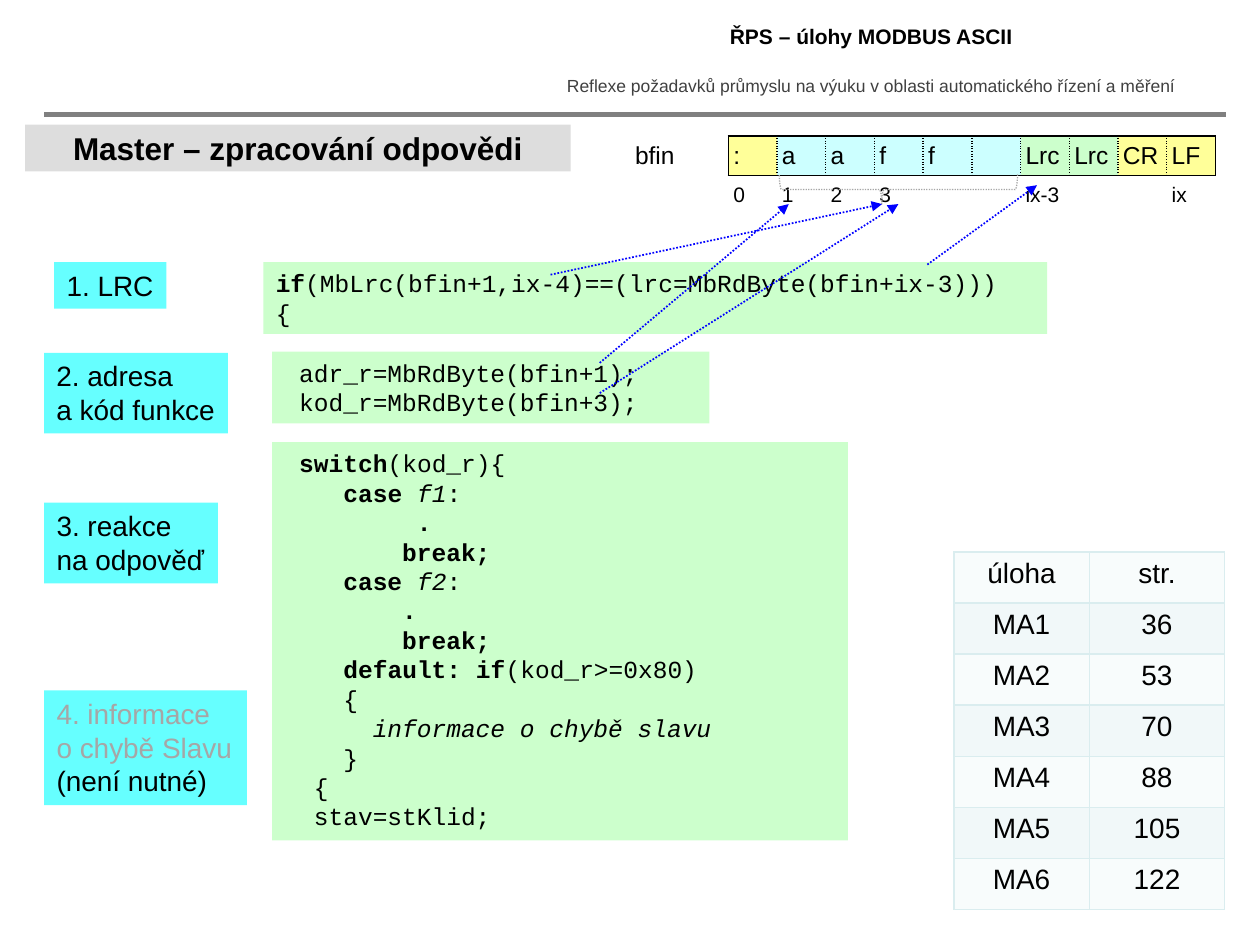
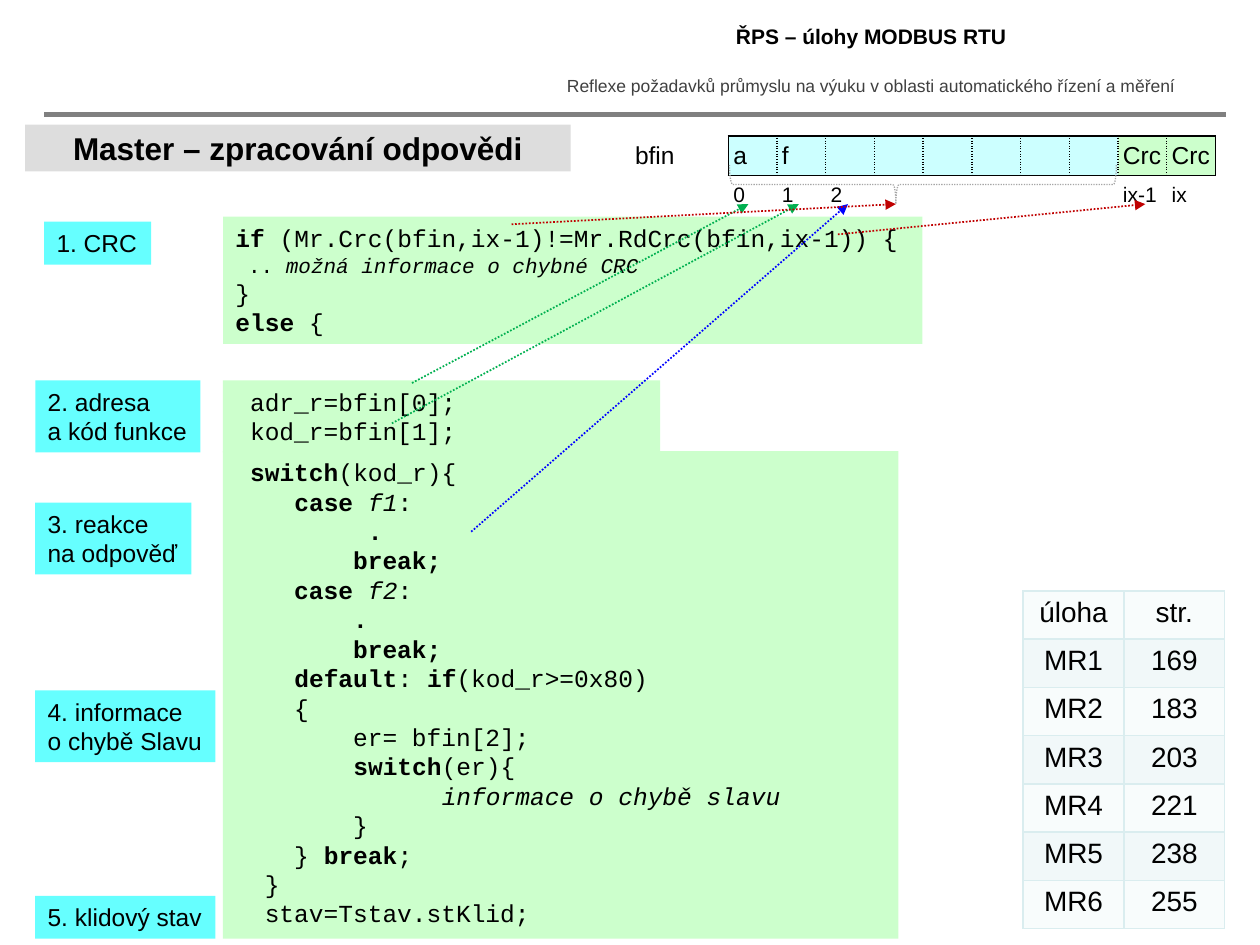
from lxml import etree
from pptx import Presentation
from pptx import util as u
from pptx.dml.color import RGBColor
from pptx.enum import dml, shapes, text
from pptx.oxml import ns

Inches, Pt = u.Inches, u.Pt

BLACK = RGBColor(0x00, 0x00, 0x00)
DARK_GREY = RGBColor(0x40, 0x40, 0x40)
RULE_GREY = RGBColor(0x80, 0x80, 0x80)
FADED = RGBColor(0xA6, 0xA6, 0xA6)
TITLE_GREY = RGBColor(0xDD, 0xDD, 0xDD)
LABEL_CYAN = RGBColor(0x66, 0xFF, 0xFF)
PALE_GREEN = RGBColor(0xCC, 0xFF, 0xCC)
PALE_CYAN = RGBColor(0xCC, 0xFF, 0xFF)
PALE_YELLOW = RGBColor(0xFF, 0xFF, 0x99)
GRID = RGBColor(0xDA, 0xED, 0xEF)
BANDS = [RGBColor(0xF8, 0xFC, 0xFC), RGBColor(0xF1, 0xF8, 0xF9)]
BLUE = RGBColor(0x00, 0x00, 0xFF)
GREEN = RGBColor(0x00, 0xB0, 0x50)
RED = RGBColor(0xC0, 0x00, 0x00)

SANS, MONO = "Arial", "Courier New"
LEFT, CENTER = text.PP_ALIGN.LEFT, text.PP_ALIGN.CENTER
TOP, MIDDLE = text.MSO_ANCHOR.TOP, text.MSO_ANCHOR.MIDDLE
NO_STYLE = "{2D5ABB26-0587-4C30-8999-92F81FD0307C}"

TITLE = (TITLE_GREY, SANS, False, CENTER, MIDDLE)
LABEL = (LABEL_CYAN, SANS, False, LEFT, TOP)
CODE = (PALE_GREEN, MONO, True, LEFT, TOP)

SWITCH_START = [
    " *switch*(kod_r){",
    "    *case *~f1~:",
    "*         .*",
    "*        break;*",
    "*    case *~f2~:",
    "*        .*",
    "*        break;*",
]

LESSONS = [
    {
        "heading": "ŘPS – úlohy MODBUS ASCII",
        "panels": [
            (LABEL, (0.43, 2.08, 0.89, 0.37), 16, ["1. LRC"]),
            (LABEL, (0.35, 2.8, 1.46, 0.64), 16, ["2. adresa", "a kód funkce"]),
            (LABEL, (0.35, 3.99, 1.38, 0.64), 16, ["3. reakce", "na odpověď"]),
            (LABEL, (0.35, 5.48, 1.61, 0.91), 16,
             [("4. informace", 16, FADED), ("o chybě Slavu", 16, FADED), "(není nutné)"]),
            (CODE, (2.16, 2.79, 3.47, 0.57), 14,
             [" adr_r=MbRdByte(bfin+1);", " kod_r=MbRdByte(bfin+3);"]),
            (CODE, (2.16, 3.51, 4.57, 3.16), 14, SWITCH_START + [
                "    *default: if*(kod_r>=0x80)",
                "    {",
                "~      informace o chybě slavu~",
                "    }",
                "  {",
                "  stav=stKlid;",
            ]),
            (CODE, (2.09, 2.08, 6.22, 0.57), 14,
             ["*if*(MbLrc(bfin+1,ix-4)==(lrc=MbRdByte(bfin+ix-3)))", "{"]),
        ],
        "bytes": [":", "a", "a", "f", "f", "", "Lrc", "Lrc", "CR", "LF"],
        "byte_fills": [PALE_YELLOW] + [PALE_CYAN] * 5 + [PALE_GREEN] * 2 + [PALE_YELLOW] * 2,
        "indexes": ["0", "1", "2", "3", "", "", "ix-3", "", "", "ix"],
        "brace": (7.01, 0.56, 0.24, 1.89),
        "arrows": [
            (7.36, 2.1, 8.23, 1.47, BLUE),
            (4.37, 2.18, 7, 1.62, BLUE),
            (4.76, 2.88, 6.26, 1.62, BLUE),
            (4.76, 3.12, 7.13, 1.62, BLUE),
        ],
        "tasks_at": (7.57, 4.38, 2.15, 2.84),
        "task_prefix": "MA",
        "pages": [36, 53, 70, 88, 105, 122],
    },
    {
        "heading": "ŘPS – úlohy MODBUS RTU",
        "panels": [
            (LABEL, (0.35, 1.76, 0.85, 0.34), 14, ["1. CRC"]),
            (CODE, (1.77, 1.72, 5.55, 1.01), 14, [
                "*if *(Mr.Crc(bfin,ix-1)!=Mr.RdCrc(bfin,ix-1)) {",
                (" .. ~možná informace o chybné CRC~", 12, BLACK),
                "}",
                "*else* {",
            ]),
            (LABEL, (0.28, 3.02, 1.31, 0.57), 14, ["2. adresa", "a kód funkce"]),
            (CODE, (1.77, 3.02, 3.47, 0.57), 14, [" adr_r=bfin[0];", " kod_r=bfin[1];"]),
            (LABEL, (0.28, 3.99, 1.24, 0.57), 14, ["3. reakce", "na odpověď"]),
            (LABEL, (0.28, 5.48, 1.43, 0.57), 14, ["4. informace", "o chybě Slavu"]),
            (CODE, (1.77, 3.58, 5.36, 3.87), 14, SWITCH_START + [
                "    *default*: *if*(kod_r>=0x80)",
                "    {",
                "        er= bfin[2];",
                "        *switch*(er){",
                "              ~informace o chybě slavu~",
                "        }",
                "    } *break*;",
                "  }",
                "  stav=Tstav.stKlid;",
            ]),
            (LABEL, (0.28, 7.11, 1.43, 0.34), 14, ["5. klidový stav"]),
        ],
        "bytes": ["a", "f"] + [""] * 6 + ["Crc", "Crc"],
        "byte_fills": [PALE_CYAN] * 8 + [PALE_GREEN] * 2,
        "indexes": ["0", "1", "2"] + [""] * 5 + ["ix-1", "ix"],
        "brace": (7.17, -0.07, 0.31, 3.07),
        "arrows": [
            (3.74, 4.22, 6.73, 1.62, BLUE),
            (3.11, 3.36, 6.34, 1.62, GREEN),
            (3.27, 3.04, 5.94, 1.62, GREEN),
            (6.65, 1.86, 9.09, 1.62, RED),
            (4.06, 1.78, 7.11, 1.62, RED),
        ],
        "tasks_at": (8.12, 4.69, 1.6, 2.68),
        "task_prefix": "MR",
        "pages": [169, 183, 203, 221, 238, 255],
    },
]


def write(frame, lines, size, font=SANS, color=BLACK, align=LEFT):
    for number, line in enumerate(lines):
        paragraph = frame.paragraphs[0] if number == 0 else frame.add_paragraph()
        paragraph.alignment = align
        words, points, ink = line if isinstance(line, tuple) else (line, size, color)
        for b, piece in enumerate(words.split("*")):
            for i, part in enumerate(piece.split("~")):
                if part:
                    run = paragraph.add_run()
                    run.text = part
                    run.font.name = font
                    run.font.size = Pt(points)
                    run.font.color.rgb = ink
                    run.font.bold = b % 2 == 1
                    run.font.italic = i % 2 == 1
        if not words:
            paragraph._p.get_or_add_endParaRPr().set("sz", str(points * 100))


def add_border(cell, side, color, dash="solid"):
    edge = etree.SubElement(cell._tc.get_or_add_tcPr(), ns.qn("a:ln" + side), w=str(Pt(1)))
    fill = etree.SubElement(edge, ns.qn("a:solidFill"))
    etree.SubElement(fill, ns.qn("a:srgbClr"), val=str(color))
    etree.SubElement(edge, ns.qn("a:prstDash"), val=dash)


prs = Presentation()
prs.slide_width, prs.slide_height = Inches(10), Inches(7.5)

for lesson in LESSONS:
    slide = prs.slides.add_slide(prs.slide_layouts[6])

    headers = [
        ((4.3, 0.55, 5.22, 0.27), 10, DARK_GREY,
         "Reflexe požadavků průmyslu na výuku v oblasti automatického řízení a měření"),
        ((4.3, 0.14, 5.23, 0.31), 12, BLACK, f"*{lesson['heading']}*"),
    ]
    for at, size, color, line in headers:
        header = slide.shapes.add_textbox(*map(Inches, at))
        header.text_frame.word_wrap = True
        write(header.text_frame, [line], size, color=color, align=CENTER)

    title = (TITLE, (0.2, 0.99, 4.33, 0.37), 18, ["*Master – zpracování odpovědi*"])
    for (fill, font, wrap, align, anchor), at, size, lines in [title] + lesson["panels"]:
        panel = slide.shapes.add_shape(shapes.MSO_SHAPE.RECTANGLE, *map(Inches, at))
        panel.shadow.inherit = False
        panel.fill.solid()
        panel.fill.fore_color.rgb = fill
        panel.line.fill.background()
        panel.text_frame.word_wrap = wrap
        panel.text_frame.vertical_anchor = anchor
        write(panel.text_frame, lines, size, font, align=align)

    message = slide.shapes.add_table(2, 11, *map(Inches, (5, 1.08, 4.65, 0.62))).table
    tasks = slide.shapes.add_table(7, 2, *map(Inches, lesson["tasks_at"])).table
    for table in (message, tasks):
        table.first_row = table.horz_banding = False
        table._tbl.tblPr.find(ns.qn("a:tableStyleId")).text = NO_STYLE

    message.columns[0].width = Inches(0.78)
    for column in range(1, 11):
        message.columns[column].width = Inches((4.65 - 0.78) / 10)
    message_rows = [["bfin"] + lesson["bytes"], [""] + lesson["indexes"]]
    for row, (words, size) in enumerate(zip(message_rows, (14, 12))):
        for column, word in enumerate(words):
            cell = message.cell(row, column)
            cell.margin_left = cell.margin_right = Inches(0.04)
            cell.margin_top = cell.margin_bottom = Inches(0.04)
            cell.vertical_anchor = MIDDLE
            write(cell.text_frame, [word], size)
            if row == 0 and column > 0:
                add_border(cell, "L", BLACK, "solid" if column == 1 else "sysDot")
                add_border(cell, "R", BLACK, "solid" if column == 10 else "sysDot")
                add_border(cell, "T", BLACK)
                add_border(cell, "B", BLACK)
                cell.fill.solid()
                cell.fill.fore_color.rgb = lesson["byte_fills"][column - 1]
            else:
                if row == 0:
                    add_border(cell, "R", BLACK)
                cell.fill.background()

    task_rows = [("úloha", "str.")]
    for number, page in enumerate(lesson["pages"], 1):
        task_rows.append((f"{lesson['task_prefix']}{number}", str(page)))
    for row, words in enumerate(task_rows):
        for column, word in enumerate(words):
            cell = tasks.cell(row, column)
            write(cell.text_frame, [word], 16, align=CENTER)
            for side in "LRTB":
                add_border(cell, side, GRID)
            cell.fill.solid()
            cell.fill.fore_color.rgb = BANDS[row % 2]

    brace = slide.shapes.add_shape(shapes.MSO_SHAPE.RIGHT_BRACE, *map(Inches, lesson["brace"]))
    brace.shadow.inherit = False
    brace.rotation = 90
    brace.adjustments[0], brace.adjustments[1] = 0.08, 0.57
    brace.fill.background()
    brace.line.color.rgb = FADED
    brace.line.width = Pt(0.75)
    brace.line.dash_style = dml.MSO_LINE.ROUND_DOT

    header_rule = (0.35, 0.91, 9.73, 0.91, RULE_GREY)
    for *ends, color in [header_rule] + lesson["arrows"]:
        line = slide.shapes.add_connector(shapes.MSO_CONNECTOR.STRAIGHT, *map(Inches, ends))
        etree.SubElement(line._element.spPr, ns.qn("a:effectLst"))
        line.line.color.rgb = color
        if color == RULE_GREY:
            line.line.width = Pt(3)
        else:
            line.line.width = Pt(1)
            line.line.dash_style = dml.MSO_LINE.ROUND_DOT
            etree.SubElement(line.line._get_or_add_ln(), ns.qn("a:tailEnd"), type="triangle")

prs.save("out.pptx")
